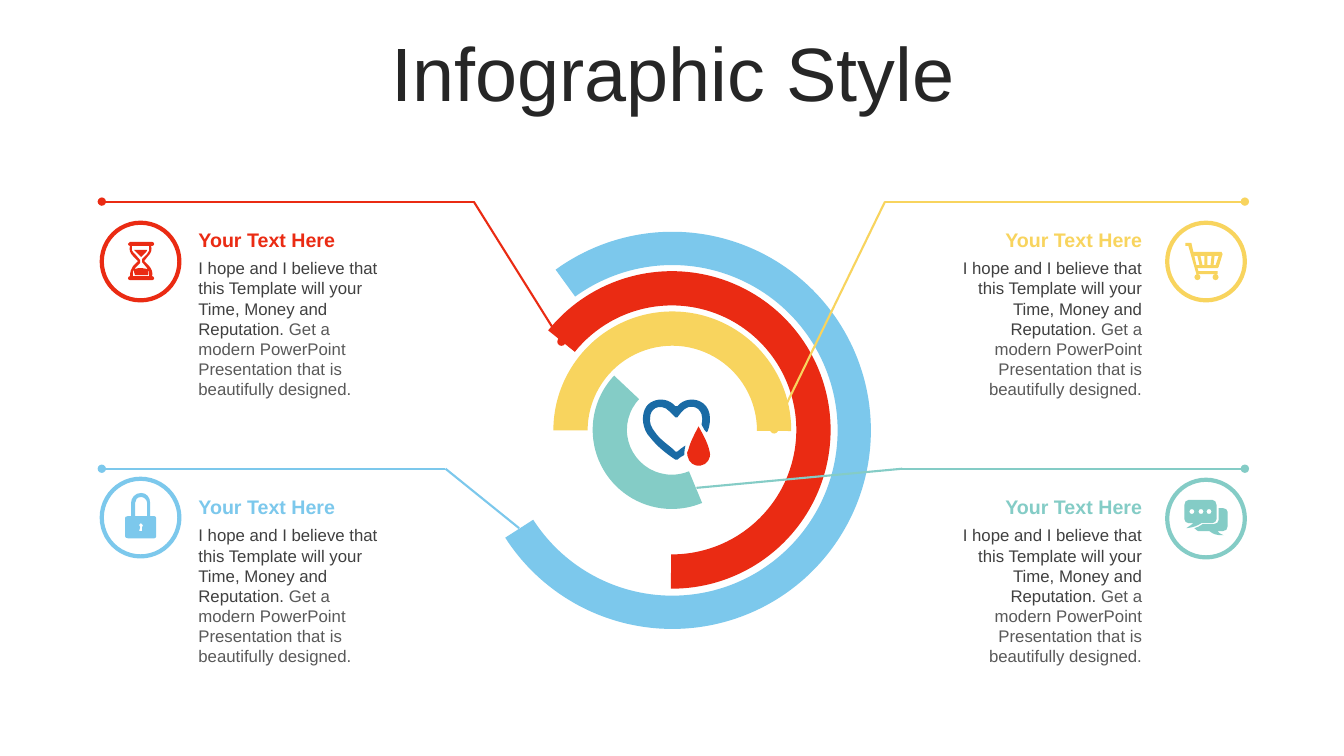
from dataclasses import dataclass

from lxml.etree import SubElement
from pptx import Presentation
from pptx.dml.color import RGBColor as RGB
from pptx.enum.shapes import MSO_CONNECTOR as Connector, MSO_SHAPE as Preset
from pptx.enum.text import MSO_ANCHOR as Anchor, MSO_AUTO_SIZE as AutoSize, PP_ALIGN as Align
from pptx.oxml.ns import qn
from pptx.shapes.autoshape import Shape
from pptx.slide import Slide
from pptx.util import Pt

PX = 9144  # EMU in one px, 100 px to the inch
Point = tuple[float, float]


@dataclass(frozen=True)
class Theme:
    font: str = "Arial"
    title_size: int = 54
    heading_size: int = 14
    body_size: int = 12
    line_width: float = 1.5
    badge_width: float = 3
    title: RGB = RGB(0x26, 0x26, 0x26)
    body: RGB = RGB(0x40, 0x40, 0x40)
    soft: RGB = RGB(0x59, 0x59, 0x59)
    red: RGB = RGB(0xEA, 0x2B, 0x13)
    yellow: RGB = RGB(0xF8, 0xD4, 0x5E)
    sky: RGB = RGB(0x7C, 0xC8, 0xEC)
    teal: RGB = RGB(0x84, 0xCC, 0xC6)
    navy: RGB = RGB(0x1A, 0x6B, 0xA5)


@dataclass(frozen=True)
class Ring:
    diameter: int
    start: float  # degrees, clockwise from the right
    end: float
    color: RGB
    band: int = 34


@dataclass(frozen=True)
class Callout:
    color: RGB
    on_right: bool
    line_y: int
    badge_top: int
    elbow_x: int
    target: Point
    dot_on_target: bool
    icon: str


def circle(left: int, top: int, size: int) -> str:
    corners = "M 1 .5 C 1 .78 .78 1 .5 1 C .22 1 0 .78 0 .5 C 0 .22 .22 0 .5 0 C .78 0 1 .22 1 .5"
    words, is_x = [], True
    for word in corners.split():
        if not word.isalpha():
            word, is_x = str((left if is_x else top) + size * float(word)), not is_x
        words.append(word)
    return " " + " ".join(words)


THEME = Theme()
CENTER = (667, 427)
BADGE = 77
HEADING = "Your Text Here"
BODY = "I hope and I believe that this Template will your Time, Money and Reputation."
BODY_END = " Get a modern PowerPoint Presentation that is beautifully designed."

# Outlines: M move, L line, C Bézier curve
HOURGLASS = """M 141 266 C 143 266 145 267 147 267 C 148 269 147 271 147 273 L 134 273 C 133 271 133 269 133 267
 C 136 266 138 266 141 266 M 133 248 L 146 248 C 146 249 145 250 145 250 L 140 255 L 135 250 C 134 250 134 249 133 248
 M 131 244 C 130 247 131 250 134 252 L 139 258 L 139 261 L 134 266 C 132 268 131 271 132 274 L 148 274
 C 149 271 148 268 146 266 L 141 260 L 141 257 L 146 252 C 148 250 149 247 148 244 M 129 240 L 151 240
 C 152 240 153 241 153 242 C 153 243 152 244 151 244 L 150 244 C 151 248 150 251 147 254 L 143 259 L 148 264
 C 150 266 152 270 151 274 C 152 274 153 275 153 276 C 153 277 152 278 151 278 L 129 278 C 128 278 127 277 127 276
 C 127 275 128 274 129 274 C 129 270 130 267 132 264 L 137 259 L 132 254 C 129 251 128 248 129 244
 C 128 244 127 243 127 242 C 127 241 128 240 129 240"""
CART = """M 1205 254 L 1204 263 L 1206 263 L 1209 254 M 1198 254 L 1198 263 L 1201 263 L 1202 254
 M 1191 254 L 1193 263 L 1195 263 L 1195 254 M 1185 254 L 1187 263 L 1190 263 L 1188 254 M 1182 241 L 1184 250
 L 1212 250 C 1212 251 1213 252 1213 252 L 1209 265 C 1209 265 1208 266 1208 266 L 1188 266 L 1189 269 L 1208 269
 L 1208 272 L 1187 272 L 1179 244 L 1176 244 L 1176 241 L 1181 241""" + circle(1185, 272, 6) + circle(1203, 272, 6)
PADLOCK = """M 140 519 C 139 519 138 520 138 521 C 138 522 138 522 139 523 L 138 527 L 141 527 L 141 523
 C 141 522 142 522 142 521 C 142 520 141 519 140 519 M 140 493 C 136 493 134 496 134 499 L 134 512 L 146 512 L 146 499
 C 146 496 143 493 140 493 M 140 489 C 145 489 149 493 149 499 L 149 512 L 153 512 C 154 512 155 513 155 514 L 155 532
 C 155 533 154 534 153 534 L 127 534 C 125 534 124 533 124 532 L 124 514 C 124 513 125 512 127 512 L 130 512 L 130 499
 C 130 494 134 489 140 489"""
CHAT = """M 1209 504 L 1213 504 C 1216 504 1218 506 1218 508 L 1218 522 C 1218 525 1216 527 1213 527 L 1208 527
 C 1209 528 1209 529 1214 531 C 1206 531 1204 530 1200 527 L 1189 527 C 1188 527 1186 525 1185 524
 C 1188 523 1191 522 1193 520 L 1204 520 C 1207 520 1209 518 1209 516 M 1179 496 L 1203 496
 C 1205 496 1207 498 1207 501 L 1207 515 C 1207 517 1205 519 1203 519 L 1192 519 C 1187 522 1185 523 1177 524
 C 1181 521 1182 521 1184 519 L 1179 519 C 1177 519 1175 517 1175 515 L 1175 501
 C 1175 498 1177 496 1179 496""" + "".join(circle(left, 505, 5) for left in (1180, 1189, 1197))
DROP = """M 693 423 C 698 432 702 439 704 448 C 706 455 701 461 695 462 C 689 463 683 459 682 452
 C 681 450 682 448 683 446 C 685 438 689 431 693 423"""
HEART = """M 680 442 C 679 445 679 448 679 451 C 679 451 678 451 678 452 C 676 453 674 454 672 456
 C 671 456 671 456 670 456 C 661 450 652 443 645 434 C 641 430 639 425 638 419 C 637 410 640 401 648 398
 C 655 395 664 396 670 403 C 671 404 671 404 672 403 C 678 396 687 395 694 398 C 699 400 703 405 704 411
 C 705 417 704 423 702 428 C 701 429 701 429 700 428 C 699 427 698 425 697 423 C 696 422 696 422 696 421
 C 697 417 697 414 696 411 C 693 402 683 402 679 406 C 676 409 674 411 672 414 C 671 415 671 415 670 414
 C 668 412 666 410 664 408 C 660 403 653 403 650 405 C 647 407 645 410 645 414 C 644 419 646 424 650 429
 C 654 435 661 440 667 445 C 668 446 669 447 670 448 C 671 448 671 448 672 448 C 674 446 677 444 680 442"""

RINGS = [
    Ring(236, 180, 0.31, THEME.yellow),
    Ring(394, 234.02, 147.28, THEME.sky, band=33),
    Ring(315, 218.83, 90.33, THEME.red),
    Ring(157, 67.47, 223.23, THEME.teal),
]
CALLOUTS = [
    Callout(THEME.red, False, 200, 221, 470, (557, 339), True, HOURGLASS),
    Callout(THEME.yellow, True, 200, 221, 878, (768, 426), True, CART),
    Callout(THEME.sky, False, 465, 475, 442, (515, 524), False, PADLOCK),
    Callout(THEME.teal, True, 465, 476, 895, (691, 484), False, CHAT),
]


def paint(shape: Shape, color: RGB) -> None:
    shape.shadow.inherit = False
    shape.fill.solid()
    shape.fill.fore_color.rgb = color
    shape.line.fill.background()


def add_icon(page: Slide, outline: str, color: RGB) -> None:
    """Draw the corner and control points as lines, then join each curve's three lines into one."""
    tokens, steps = iter(outline.split()), []
    for command in tokens:
        count = 3 if command == "C" else 1
        steps.append((command, [(float(next(tokens)) * PX, float(next(tokens)) * PX) for _ in range(count)]))
    builder = page.shapes.build_freeform(*steps[0][1][0])
    for command, points in steps[1:]:
        if command == "M":
            builder.add_line_segments([], close=True)
            builder.move_to(*points[0])
        else:
            builder.add_line_segments(points, close=False)
    builder.add_line_segments([], close=True)
    icon = builder.convert_to_shape()
    paint(icon, color)
    lines = iter(list(icon._element.iter(qn("a:lnTo"))))
    for command, points in steps:
        if command != "M":
            first, *others = [next(lines) for _ in points]
            for other in others:
                first.append(other[0])
                other.getparent().remove(other)
            first.tag = qn("a:cubicBezTo" if others else "a:lnTo")


def add_ring(page: Slide, ring: Ring) -> None:
    left, top = ((2 * middle - ring.diameter) // 2 * PX for middle in CENTER)
    arc = page.shapes.add_shape(Preset.BLOCK_ARC, left, top, ring.diameter * PX, ring.diameter * PX)
    for index, value in enumerate((ring.start * 0.6, ring.end * 0.6, ring.band / ring.diameter)):
        arc.adjustments[index] = value
    paint(arc, ring.color)


def add_line(page: Slide, start: Point, end: Point, *, color: RGB, dot: bool) -> None:
    connector = page.shapes.add_connector(Connector.STRAIGHT, *(value * PX for value in (*start, *end)))
    connector.line.color.rgb, connector.line.width = color, Pt(THEME.line_width)
    properties = connector._element.spPr
    if dot:
        SubElement(properties.find(qn("a:ln")), qn("a:tailEnd"), type="oval")
    SubElement(properties, qn("a:effectLst"))


def add_text(page: Slide, spans: list[tuple[str, RGB]], *, left: int, top: int, width: int, height: int, size: int,
             bold: bool = False, align: Align = Align.LEFT, anchor: Anchor = Anchor.TOP, spacing: float = 1.0) -> None:
    frame = page.shapes.add_textbox(left * PX, top * PX, width * PX, height * PX).text_frame
    frame.word_wrap, frame.auto_size, frame.vertical_anchor = True, AutoSize.NONE, anchor
    para = frame.paragraphs[0]
    para.alignment, para.line_spacing = align, spacing
    for text, color in spans:
        span = para.add_run()
        span.text = text
        span.font.name, span.font.size, span.font.bold = THEME.font, Pt(size), bold
        span.font.color.rgb = color


def add_callout(page: Slide, item: Callout) -> None:
    elbow, outer = (item.elbow_x, item.line_y), (1235 if item.on_right else 101, item.line_y)
    add_line(page, elbow, outer, color=item.color, dot=True)
    add_line(page, elbow, item.target, color=item.color, dot=item.dot_on_target)
    badge_left = 1158 if item.on_right else 101
    badge = page.shapes.add_shape(Preset.OVAL, badge_left * PX, item.badge_top * PX, BADGE * PX, BADGE * PX)
    badge.shadow.inherit = False
    badge.fill.background()
    badge.line.color.rgb, badge.line.width = item.color, Pt(THEME.badge_width)
    left, width, align = (938, 205, Align.RIGHT) if item.on_right else (187, 200, Align.LEFT)
    add_text(page, [(HEADING, item.color)], left=left, top=item.line_y + 21, width=width, height=34,
             size=THEME.heading_size, bold=True, align=align)
    add_text(page, [(BODY, THEME.body), (BODY_END, THEME.soft)], left=left, top=item.line_y + 51, width=width,
             height=151, size=THEME.body_size, align=align)
    add_icon(page, item.icon, item.color)


def main() -> None:
    deck = Presentation()
    deck.slide_width, deck.slide_height = 750 * PX * 16 // 9, 750 * PX
    page = deck.slides.add_slide(deck.slide_layouts[6])
    add_text(page, [("Infographic Style", THEME.title)], left=35, top=37, width=1266, height=79,
             size=THEME.title_size, align=Align.CENTER, anchor=Anchor.MIDDLE, spacing=0.9)
    for ring in RINGS:
        add_ring(page, ring)
    for item in CALLOUTS:
        add_callout(page, item)
    add_icon(page, DROP, THEME.red)
    add_icon(page, HEART, THEME.navy)
    deck.save("out.pptx")


if __name__ == "__main__":
    main()
